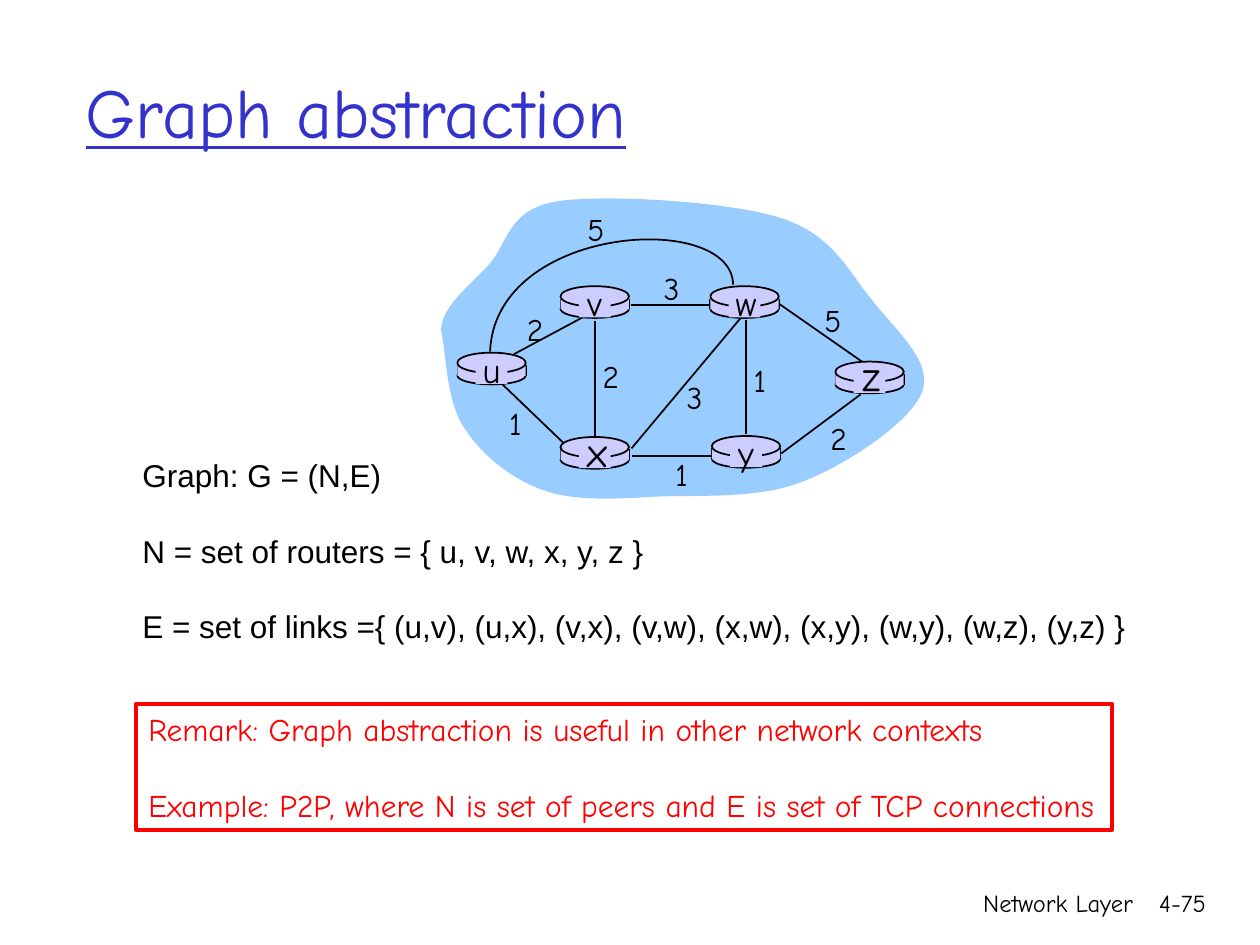
"""Build the "Graph abstraction" slide with its weighted router graph."""
import dataclasses

import lxml.etree
import pptx
import pptx.dml.color
import pptx.enum.shapes
import pptx.enum.text
import pptx.oxml.ns
import pptx.util

Cm = pptx.util.Cm
Pt = pptx.util.Pt
RGB = pptx.dml.color.RGBColor.from_string
qn = pptx.oxml.ns.qn
SHAPE = pptx.enum.shapes.MSO_SHAPE
ALIGN = pptx.enum.text.PP_ALIGN
ANCHOR = pptx.enum.text.MSO_ANCHOR


@dataclasses.dataclass(frozen=True)
class Theme:
    """Colours, fonts and type sizes of the slide."""
    ink: str = "000000"
    heading: str = "3333CC"
    remark: str = "FF0000"
    cloud: str = "99CCFF"
    router: str = "CCCCFF"
    hand: str = "Comic Neue"
    plain: str = "Arial"
    title_size: int = 40
    text_size: int = 18
    footer_size: int = 14
    paragraph_gap: float = 21.6


THEME = Theme()

CLOUD = [
    (8.89, 6.65),
    (8.92, 6.15), (9.47, 5.77), (9.86, 5.33),
    (10.24, 4.9), (10.24, 4.22), (11.23, 4.06),
    (12.19, 3.91), (14.68, 4.06), (15.72, 4.39),
    (16.79, 4.72), (17.09, 5.46), (17.58, 6.05),
    (18.03, 6.63), (18.82, 7.29), (18.59, 7.9),
    (18.36, 8.51), (17.09, 9.35), (16.21, 9.7),
    (15.32, 10.06), (14.15, 9.98), (13.26, 10.01),
    (12.4, 10.06), (11.58, 10.11), (10.95, 9.88),
    (10.29, 9.65), (9.68, 9.14), (9.35, 8.61),
    (8.99, 8.08), (8.99, 7.06), (8.89, 6.65),
]
LINK_U_W = [(14.78, 5.74), (14.76, 4.24), (9.98, 4.52), (9.88, 7.09)]
LINK_U_W_COST = ("5", 12, 4.62)

ROUTERS = [
    ("u", 9.22, 7.11, 20), ("v", 11.3, 5.77, 20), ("w", 14.32, 5.77, 20),
    ("x", 11.3, 8.81, 24), ("y", 14.35, 8.79, 20), ("z", 16.84, 7.29, 24),
]
LINKS = [
    ((10.36, 7.14, 11.89, 6.32), ("2", 10.78, 6.63)),
    ((10.13, 7.75, 11.35, 8.92), ("1", 10.39, 8.53)),
    ((11.99, 6.48, 11.99, 8.84), ("2", 12.31, 7.59)),
    ((12.73, 6.15, 14.33, 6.15), ("3", 13.54, 5.81)),
    ((12.73, 9.04, 14.94, 6.4), ("3", 14, 8)),
    ((12.75, 9.19, 14.35, 9.19), ("1", 13.74, 9.55)),
    ((15.04, 6.45, 15.04, 8.74), ("1", 15.32, 7.67)),
    ((15.7, 6.12, 17.42, 7.32), ("5", 16.78, 6.46)),
    ((15.75, 9.14, 17.35, 7.95), ("2", 16.9, 8.84)),
]
DEFINITIONS = [
    "Graph: G = (N,E)",
    "N = set of routers = { u, v, w, x, y, z }",
    "E = set of links ={ (u,v), (u,x), (v,x), (v,w), (x,w), (x,y), (w,y), (w,z), (y,z) }",
]
REMARKS = [
    "Remark: Graph abstraction is useful in other network contexts",
    "Example: P2P, where N is set of peers and E is set of TCP connections",
]


def paint(shape, fill=None, line=None, weight=1):
    """Give a shape its fill and outline, or none, and no shadow."""
    shape.shadow.inherit = False
    if fill:
        shape.fill.solid()
        shape.fill.fore_color.rgb = RGB(fill)
    else:
        shape.fill.background()
    if line:
        shape.line.color.rgb = RGB(line)
        shape.line.width = Pt(weight)
    else:
        shape.line.fill.background()


def write(frame, lines, size, font=THEME.hand, color=THEME.ink, align=ALIGN.LEFT):
    """Fill a text frame with evenly spaced paragraphs in one style."""
    frame.text = "\n".join(lines)
    for index, paragraph in enumerate(frame.paragraphs):
        paragraph.alignment = align
        paragraph.space_before = Pt(THEME.paragraph_gap if index else 0)
        for run in paragraph.runs:
            run.font.name = font
            run.font.size = Pt(size)
            run.font.color.rgb = RGB(color)


def add_text(shapes, box, lines, size, wrap=False, **style):
    """Add a text box at a (left, top, width, height) box."""
    frame = shapes.add_textbox(*map(Cm, box)).text_frame
    frame.word_wrap = wrap
    write(frame, lines, size, **style)


def add_block(shapes, kind, box, fill=None, line=None, weight=1):
    """Add a painted preset shape."""
    block = shapes.add_shape(kind, *map(Cm, box))
    paint(block, fill, line, weight)
    return block


def add_line(shapes, ends):
    """Add a thin straight connector."""
    line = shapes.add_connector(pptx.enum.shapes.MSO_CONNECTOR.STRAIGHT, *map(Cm, ends))
    line.line.color.rgb = RGB(THEME.ink)
    line.line.width = Pt(1)
    lxml.etree.SubElement(line._element.spPr, qn("a:effectLst"))


def add_curve(shapes, knots, close=False, fill=None, line=None):
    """Add a freeform whose knots after the first form cubic Bézier triples."""
    first, *rest = [(Cm(x), Cm(y)) for x, y in knots]
    builder = shapes.build_freeform(*first)
    builder.add_line_segments(rest, close=close)
    curve = builder.convert_to_shape()
    segments = list(curve._element.spPr.iter(qn("a:lnTo")))
    for start in range(0, len(segments), 3):
        bezier = lxml.etree.Element(qn("a:cubicBezTo"))
        segments[start].addprevious(bezier)
        for segment in segments[start:start + 3]:
            bezier.append(segment[0])
            segment.getparent().remove(segment)
    paint(curve, fill, line)


def add_router(shapes, name, left, top, size):
    """Add a router drum with its name."""
    width = 1.38
    body_top, body_height = top + 0.25, 0.22
    add_block(shapes, SHAPE.OVAL, (left, top + 0.28, width, 0.36), THEME.router, THEME.ink)
    for side in (left, left + width):
        add_line(shapes, (side, body_top, side, body_top + body_height))
    add_block(shapes, SHAPE.RECTANGLE, (left, body_top, width, body_height), THEME.router)
    add_block(shapes, SHAPE.OVAL, (left, top, width, 0.41), THEME.router, THEME.ink)
    add_block(shapes, SHAPE.RECTANGLE, (left + 0.37, top + 0.05, 0.64, 0.58), THEME.router)
    name_left, name_height = (0.3, 1.27) if size > 20 else (0.26, 1.12)
    add_text(shapes, (left + name_left, top + 0.91 - name_height, 0.86, name_height), [name],
             size, align=ALIGN.CENTER)


def add_cost(shapes, cost, center_x, center_y):
    """Add a link cost centred on a point."""
    width, height = 0.82, 1.02
    add_text(shapes, (center_x - width / 2, center_y - height / 2, width, height), [cost],
             THEME.text_size, align=ALIGN.CENTER)


def add_graph(slide):
    """Add the network cloud with its links, routers and costs."""
    shapes = slide.shapes.add_group_shape().shapes
    add_curve(shapes, CLOUD, close=True, fill=THEME.cloud)
    for ends, _ in LINKS:
        add_line(shapes, ends)
    for router in ROUTERS:
        add_router(shapes, *router)
    add_curve(shapes, LINK_U_W, line=THEME.ink)
    for cost in [LINK_U_W_COST] + [cost for _, cost in LINKS]:
        add_cost(shapes, *cost)


def set_title(slide, text):
    """Place and format the title placeholder."""
    title = slide.shapes.title
    title.left, title.top, title.width, title.height = map(Cm, (1.47, 0.64, 21.59, 3.18))
    frame = title.text_frame
    frame.vertical_anchor = ANCHOR.MIDDLE
    write(frame, [text], THEME.title_size, color=THEME.heading)
    frame.paragraphs[0].runs[0].font.underline = True


def add_remark(slide):
    """Add the framed remark."""
    remark = add_block(slide.shapes, SHAPE.RECTANGLE, (2.74, 14.19, 19.68, 2.54),
                       line=THEME.remark, weight=2.25)
    remark.text_frame.word_wrap = False
    remark.text_frame.vertical_anchor = ANCHOR.TOP
    write(remark.text_frame, REMARKS, THEME.text_size, color=THEME.remark)


def main():
    """Build and save the slide."""
    deck = pptx.Presentation()
    deck.slide_width, deck.slide_height = Cm(25.4), Cm(19.05)
    slide = deck.slides.add_slide(deck.slide_layouts.get_by_name("Title Only"))
    set_title(slide, "Graph abstraction")
    for text, left, width in (("Network Layer", 15.04, 8.05), ("4-75", 22.68, 1.88)):
        add_text(slide.shapes, (left, 17.78, width, 1.27), [text], THEME.footer_size,
                 wrap=True, align=ALIGN.RIGHT)
    add_graph(slide)
    add_text(slide.shapes, (2.62, 9.07, 20.55, 4.06), DEFINITIONS, THEME.text_size,
             font=THEME.plain)
    add_remark(slide)
    deck.save("out.pptx")


if __name__ == "__main__":
    main()
